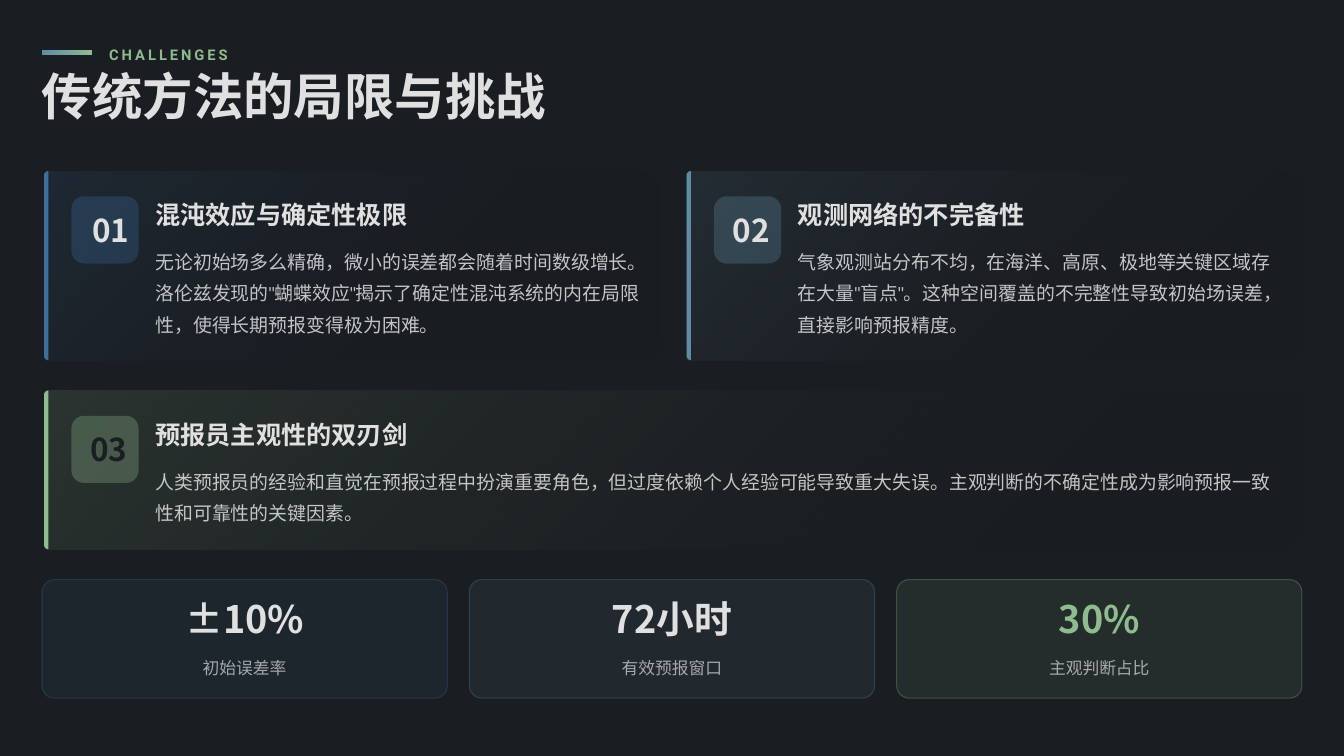
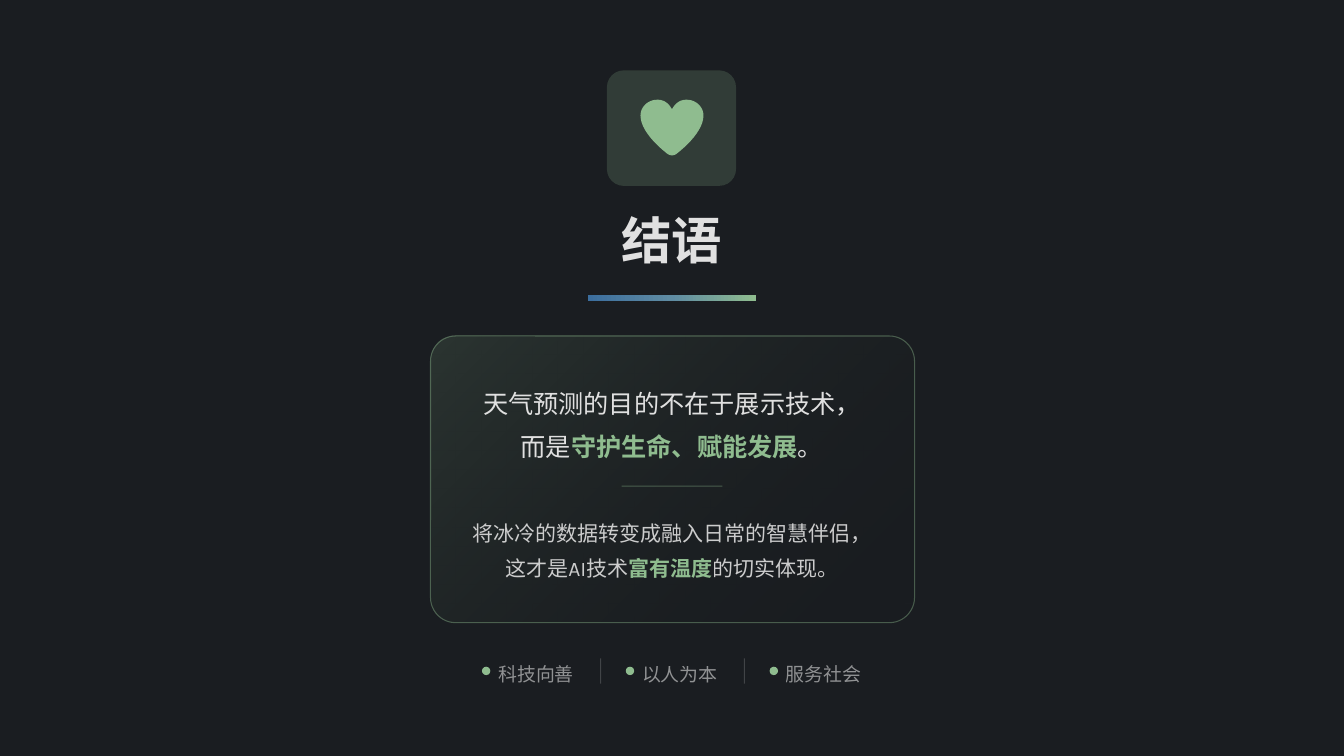
from math import cos, radians, sin

from lxml.etree import SubElement
from pptx import Presentation
from pptx.dml.color import RGBColor
from pptx.enum.shapes import MSO_CONNECTOR, MSO_SHAPE as KIND
from pptx.enum.text import MSO_ANCHOR, MSO_AUTO_SIZE, PP_ALIGN as ALIGN
from pptx.oxml.ns import qn
from pptx.util import Pt

PX = 12700
HEX = {
    "ink": "1A1D21", "light": "E0E0E0", "blue": "3C6E9E",
    "steel": "5F8CA3", "sage": "8FBC8F", "black": "000000",
}
NOTO, KARLA, ROBOTO = "Noto Sans CJK SC", "Karla", "Roboto"


def paint(fill, *stops, turn=0):
    """Fill with one (colour, alpha) stop, or with a gradient turned clockwise."""
    if len(stops) == 1:
        fill.solid()
        name, alpha = stops[0]
        fill.fore_color.rgb = RGBColor.from_string(HEX[name])
        if alpha < 100:
            SubElement(fill._xPr.find(qn("a:solidFill"))[0], qn("a:alpha"), val=str(alpha * 1000))
        return
    fill.gradient()
    fill.gradient_angle = -turn % 360
    ramp = fill._xPr.find(qn("a:gradFill")).find(qn("a:gsLst"))
    for old in list(ramp):
        ramp.remove(old)
    for i, (name, alpha) in enumerate(stops):
        stop = SubElement(ramp, qn("a:gs"), pos=str(100000 * i // (len(stops) - 1)))
        tone = SubElement(stop, qn("a:srgbClr"), val=HEX[name])
        SubElement(tone, qn("a:alpha"), val=str(alpha * 1000))


def write(slide, box, lines, size, face=NOTO, space=1.0, align=ALIGN.LEFT, title=False, track=0):
    """Write lines of (text, colour, alpha, bold) runs in the title or a new text box."""
    shape = slide.shapes.title if title else slide.shapes.add_textbox(0, 0, 0, 0)
    shape.left, shape.top, shape.width, shape.height = [n * PX for n in box]
    frame = shape.text_frame
    frame.word_wrap = True
    frame.auto_size = MSO_AUTO_SIZE.NONE
    frame.vertical_anchor = MSO_ANCHOR.MIDDLE
    frame.margin_left = frame.margin_top = frame.margin_right = frame.margin_bottom = 0
    for i, line in enumerate(lines):
        para = frame.add_paragraph() if i else frame.paragraphs[0]
        para.alignment, para.line_spacing = align, space
        para.space_before = Pt(0)
        for text, name, alpha, bold in line:
            run = para.add_run()
            run.text = text
            run.font.size, run.font.bold, run.font.name = Pt(size), bold, face
            paint(run.font.fill, (name, alpha))
            props = run.font._element
            SubElement(props, qn("a:ea"), typeface=NOTO)
            # The East Asian font has to follow the Latin one
            props.append(props.find(qn("a:ea")))
            if track:
                props.set("spc", str(track))


deck = Presentation()
deck.slide_width, deck.slide_height = 1280 * PX, 720 * PX
paint(deck.slide_master.background.fill, ("ink", 100))
limits, close = [deck.slides.add_slide(deck.slide_layouts[5]) for _ in range(2)]

# Challenge cards: left, top, width, height, colour, number, number's left and colour, head, body
cards = [
    (42, 163, 586, 180, "blue", "01", 46, "light", "混沌效应与确定性极限",
     "无论初始场多么精确，微小的误差都会随着时间数级增长。洛伦兹发现的\"蝴蝶效应\"揭示了"
     "确定性混沌系统的内在局限性，使得长期预报变得极为困难。"),
    (654, 163, 586, 180, "steel", "02", 44, "light", "观测网络的不完备性",
     "气象观测站分布不均，在海洋、高原、极地等关键区域存在大量\"盲点\"。"
     "这种空间覆盖的不完整性导致初始场误差，直接影响预报精度。"),
    (42, 372, 1198, 151, "sage", "03", 44, "ink", "预报员主观性的双刃剑",
     "人类预报员的经验和直觉在预报过程中扮演重要角色，但过度依赖个人经验可能导致重大失误。"
     "主观判断的不确定性成为影响预报一致性和可靠性的关键因素。"),
]
stats = [("±10%", "初始误差率", "blue", "light"), ("72小时", "有效预报窗口", "steel", "light"),
         ("30%", "主观判断占比", "sage", "sage")]
values = ["科技向善", "以人为本", "服务社会"]

# Card panels and their left edges, with rounded corners
for x, y, w, h, tone, *_ in cards:
    for wide, bend, stops in ((w, 16, [(tone, 15), ("black", 0)]), (4, 0, [(tone, 100)])):
        right = x + wide - bend
        corners = [(x + 4, y + 4, 4, 180), (right, y + bend, bend, 270),
                   (right, y + h - bend, bend, 0), (x + 4, y + h - 4, 4, 90)]
        dots = [((cx + r * cos(radians(start + a))) * PX, (cy + r * sin(radians(start + a))) * PX)
                for cx, cy, r, start in corners for a in range(0, 91, 15)]
        pen = limits.shapes.build_freeform(*dots[0])
        pen.add_line_segments(dots[1:])
        paint(pen.convert_to_shape().fill, *stops, turn=45)

# Preset shapes: slide, kind, box, corner radius, fill stops, turn, edge
blocks = [(limits, KIND.RECTANGLE, (40, 48, 48, 4), 0, [("steel", 100), ("sage", 100)], 0, None)]
for x, y, w, h, tone, *_ in cards:
    blocks.append((limits, KIND.ROUNDED_RECTANGLE, (x + 26, y + 24, 64, 64), 12,
                   [(tone, 30)], 0, None))
for i, (_, _, tone, _) in enumerate(stats):
    blocks.append((limits, KIND.ROUNDED_RECTANGLE, (40 + 407 * i, 552, 386, 113), 12,
                   [(tone, 10)], 0, (tone, 30)))
blocks += [
    (close, KIND.ROUNDED_RECTANGLE, (578, 67, 123, 110), 16, [("sage", 20)], 0, None),
    (close, KIND.RECTANGLE, (560, 281, 160, 6), 0,
     [("blue", 100), ("steel", 100), ("sage", 100)], 0, None),
    (close, KIND.ROUNDED_RECTANGLE, (410, 320, 461, 273), 24,
     [("sage", 15), ("black", 0)], 45, ("sage", 40)),
]
for i in range(len(values)):
    blocks.append((close, KIND.OVAL, (459 + 137 * i, 635, 8, 8), 0, [("sage", 100)], 0, None))

for slide, kind, box, bend, stops, turn, edge in blocks:
    shape = slide.shapes.add_shape(kind, *[n * PX for n in box])
    if bend:
        shape.adjustments[0] = bend / min(box[2:])
    paint(shape.fill, *stops, turn=turn)
    if edge:
        paint(shape.line.fill, edge)
        shape.line.width = Pt(1)

# Heart: the right half is sampled from curves around x = 640, then mirrored
curves = [
    [(2, 101), (5, 97), (9, 95), (14, 95)],
    [(14, 95), (23, 95), (30, 102), (30, 110)],
    [(30, 110), (30, 124), (14, 139), (5, 146)],
    [(5, 146), (4, 147), (2, 148), (0, 148)],
]
half = [(0, 104)]
for curve in curves:
    for step in range(13):
        t = step / 12
        mix = ((1 - t) ** 3, 3 * t * (1 - t) ** 2, 3 * t * t * (1 - t), t ** 3)
        half.append(tuple(sum(k * p[axis] for k, p in zip(mix, curve)) for axis in (0, 1)))
outline = half + [(-x, y) for x, y in reversed(half)]
dots = [((640 + x) * PX, y * PX) for x, y in outline]
pen = close.shapes.build_freeform(*dots[0])
pen.add_line_segments(dots[1:])
paint(pen.convert_to_shape().fill, ("sage", 100))

# Shapes carry no shadow, and no line unless one was given
for slide in deck.slides:
    for shape in slide.shapes:
        shape.shadow.inherit = False
        if shape.line.fill.type is None:
            shape.line.fill.background()

# Hairlines on the closing slide
rules = [(592, 463, 688, 463, "sage", 40)]
rules += [(x, 627, x, 651, "light", 20) for x in (572, 709)]
for *ends, tone, alpha in rules:
    rule = close.shapes.add_connector(MSO_CONNECTOR.STRAIGHT, *[n * PX for n in ends])
    paint(rule.line.fill, (tone, alpha))
    rule.line.width = Pt(1)
    SubElement(rule._element.spPr, qn("a:effectLst"))

# Text of the challenges slide
write(limits, (104, 40, 125, 20), [[("CHALLENGES", "sage", 100, True)]], 14, ROBOTO, 1.2, track=280)
write(limits, (40, 72, 1224, 48), [[("传统方法的局限与挑战", "light", 100, True)]], 48,
      space=0.8, title=True)
for x, y, w, h, _, number, shift, shade, head, body in cards:
    write(limits, (x + shift, y + 38, 42, 36), [[(number, shade, 100, True)]], 30)
    write(limits, (x + 106, y + 24, w - 118, 32), [[(head, "light", 100, True)]], 24, space=1.1)
    write(limits, (x + 106, y + 68, w - 121, h - 92), [[(body, "light", 85, False)]], 18, KARLA, 1.4)
for i, (figure, label, _, shade) in enumerate(stats):
    x = 40 + 407 * i
    write(limits, (x + 12, 572, 362, 40), [[(figure, shade, 100, True)]], 36,
          space=0.9, align=ALIGN.CENTER)
    write(limits, (x + 16, 621, 354, 24), [[(label, "light", 70, False)]], 16,
          KARLA, 1.3, ALIGN.CENTER)

# Text of the closing slide
write(close, (397, 209, 486, 48), [[("结语", "light", 100, True)]], 48,
      space=0.8, align=ALIGN.CENTER, title=True)
write(close, (444, 360, 392, 78), [
    [("天气预测的目的不在于展示技术，", "light", 100, False)],
    [("而是", "light", 100, False), ("守护生命、赋能发展", "sage", 100, True),
     ("。", "light", 100, False)],
], 24, space=1.4, align=ALIGN.CENTER)
write(close, (445, 487, 390, 65), [
    [("将冰冷的数据转变成融入日常的智慧伴侣，", "light", 90, False)],
    [("这才是AI技术", "light", 90, False), ("富有温度", "sage", 100, True),
     ("的切实体现。", "light", 90, False)],
], 20, KARLA, 1.4, ALIGN.CENTER)
for i, text in enumerate(values):
    write(close, (470 + 137 * i, 625, 81, 28), [[(text, "light", 60, False)]], 18,
          KARLA, 1.3, ALIGN.CENTER)

deck.save("out.pptx")
